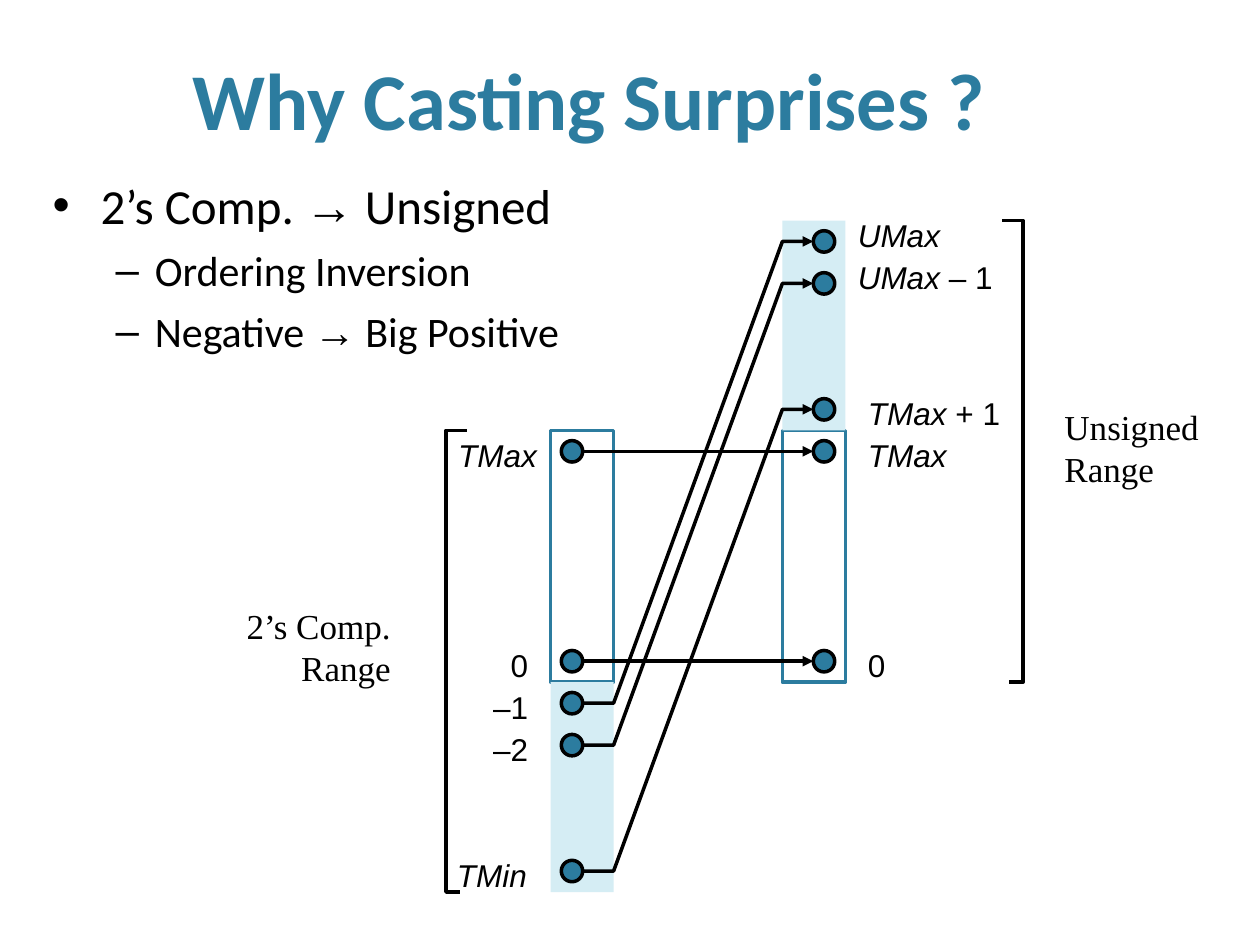
from dataclasses import dataclass

from lxml import etree
from pptx import Presentation
from pptx.dml.color import RGBColor
from pptx.enum.shapes import MSO_CONNECTOR, MSO_SHAPE
from pptx.enum.text import MSO_ANCHOR, MSO_AUTO_SIZE, PP_ALIGN
from pptx.oxml.ns import qn
from pptx.util import Inches, Pt

RECT, OVAL = MSO_SHAPE.RECTANGLE, MSO_SHAPE.OVAL
STRAIGHT = MSO_CONNECTOR.STRAIGHT
LEFT, RIGHT, CENTER = PP_ALIGN.LEFT, PP_ALIGN.RIGHT, PP_ALIGN.CENTER
TOP, NO_FIT = MSO_ANCHOR.TOP, MSO_AUTO_SIZE.NONE


@dataclass(frozen=True)
class Theme:
    blue: RGBColor = RGBColor(0x2C, 0x7C, 0x9F)
    pale: RGBColor = RGBColor(0xD5, 0xED, 0xF4)
    black: RGBColor = RGBColor(0, 0, 0)
    white: RGBColor = RGBColor(255, 255, 255)
    main: str = "Calibri"
    label: str = "Arial"
    serif: str = "Times New Roman"
    title: int = 46
    points: tuple = (28, 24)
    range: int = 20
    mark: int = 18
    line: int = 2


THEME = Theme()


def set_font(font, name, size, color=THEME.black):
    font.name, font.size = name, Pt(size)
    font.color.rgb = color


def add_text(slide, box, lines, name, size, align=LEFT):
    """Each line is a list of (text, italic) runs."""
    frame = slide.shapes.add_textbox(*map(Inches, box)).text_frame
    frame.word_wrap = True
    for i, runs in enumerate(lines):
        para = frame.paragraphs[0] if i == 0 else frame.add_paragraph()
        para.alignment = align
        set_font(para.font, name, size)
        for text, italic in runs:
            run = para.add_run()
            run.text, run.font.italic = text, italic


def add_shape(slide, kind, box, fill, line=None):
    shape = slide.shapes.add_shape(kind, *map(Inches, box))
    shape.shadow.inherit = False
    shape.fill.solid()
    shape.fill.fore_color.rgb = fill
    if line is None:
        shape.line.fill.background()
    else:
        shape.line.color.rgb, shape.line.width = line, Pt(THEME.line)


def style_line(shape, arrow):
    shape.line.color.rgb, shape.line.width = THEME.black, Pt(THEME.line)
    props = shape.element.spPr
    if arrow:
        etree.SubElement(props.find(qn("a:ln")), qn("a:tailEnd"), type="triangle")
    etree.SubElement(props, qn("a:effectLst"))


def add_path(slide, points, arrow=False):
    start, *rest = [(Inches(x), Inches(y)) for x, y in points]
    build = slide.shapes.build_freeform(*start)
    build.add_line_segments(rest, close=False)
    shape = build.convert_to_shape()
    shape.fill.background()
    style_line(shape, arrow)


def add_title(slide, box):
    title = slide.shapes.title
    title.left, title.top, title.width, title.height = map(Inches, box)
    frame = title.text_frame
    frame.text = "Why Casting Surprises ?"
    frame.word_wrap, frame.auto_size = True, NO_FIT
    frame.vertical_anchor = TOP
    para = frame.paragraphs[0]
    para.alignment = CENTER
    set_font(para.font, THEME.main, THEME.title, THEME.blue)
    para.font.bold = True


def add_points(slide, box):
    points = [
        (0, ["2’s Comp. ", "→", " Unsigned"]),
        (1, ["Ordering Inversion"]),
        (1, ["Negative ", "→", " Big Positive"]),
    ]
    bullets = [("•", 0.38, 0.38), ("–", 0.81, 0.31)]  # sign, margin, hang
    frame = slide.shapes.add_textbox(*map(Inches, box)).text_frame
    frame.word_wrap = True
    for i, (level, texts) in enumerate(points):
        para = frame.paragraphs[0] if i == 0 else frame.add_paragraph()
        para.level = level
        sign, margin, hang = bullets[level]
        props = para._p.get_or_add_pPr()
        props.set("marL", str(Inches(margin)))
        props.set("indent", str(-Inches(hang)))
        tint = etree.SubElement(props, qn("a:buClr"))
        etree.SubElement(tint, qn("a:srgbClr"), val=str(THEME.black))
        etree.SubElement(props, qn("a:buFont"), typeface=THEME.label)
        etree.SubElement(props, qn("a:buChar"), char=sign)
        para.space_before = Pt(6 if i else 0)
        set_font(para.font, THEME.main, THEME.points[level])
        for text in texts:
            run = para.add_run()
            run.text = text
            if text == "→":
                run.font.name = THEME.label


def add_ranges(slide, box):
    """Two number ranges on a grid of 16 rows, with the casts between them."""
    left, top, width, height = box
    step, bar = height / 16, 0.5
    signed, plain = left + 0.83, left + 2.67  # left edges of the bars
    begin, end = signed + 0.17, plain + 0.33  # dot centres
    size = 0.17
    rad = size / 2

    def at(row):
        return top + row * step

    # Bars: outlined shared half, shaded half that changes value
    for x, first, last, fill, line in [
        (plain, 5, 11, THEME.white, THEME.blue),
        (signed, 5, 11, THEME.white, THEME.blue),
        (signed, 11, 16, THEME.pale, None),
        (plain, 0, 5, THEME.pale, None),
    ]:
        add_shape(slide, RECT, (x, at(first), bar, at(last) - at(first)), fill, line)

    # Casts: dots joined by arrows
    for a, b in [(5.5, 5.5), (10.5, 10.5), (11.5, 0.5), (12.5, 1.5), (15.5, 4.5)]:
        for x, row in [(begin, a), (end, b)]:
            spot = (x - rad, at(row) - rad, size, size)
            add_shape(slide, OVAL, spot, THEME.blue, THEME.black)
        tail, head = (begin + rad, at(a)), (end - rad, at(b))
        if a == b:
            ends = map(Inches, tail + head)
            style_line(slide.shapes.add_connector(STRAIGHT, *ends), True)
        else:
            bends = [(signed + bar, at(a)), (plain, at(b))]
            add_path(slide, [tail, *bends, head], True)

    # Value labels: right edge on the signed side, left edge on the other
    for edge, row, runs in [
        (0.82, 5.5, [("TMax", True)]),
        (0.75, 10.5, [("0", False)]),
        (0.75, 11.5, [("–1", False)]),
        (0.75, 12.5, [("–2", False)]),
        (0.74, 15.5, [("TMin", True)]),
    ]:
        spot = (left + edge - 0.83, at(row) - 0.17, 0.83, 0.4)
        add_text(slide, spot, [runs], THEME.label, THEME.mark, RIGHT)
    for edge, row, rise, runs in [
        (3.17, 0.5, 0.25, [("UMax", True)]),
        (3.17, 1.5, 0.25, [("UMax", True), (" – 1", False)]),
        (3.25, 4.5, 0.17, [("TMax", True), (" + 1", False)]),
        (3.25, 5.5, 0.17, [("TMax", True)]),
        (3.25, 10.5, 0.17, [("0", False)]),
    ]:
        spot = (left + edge, at(row) - rise, 1.4, 0.4)
        add_text(slide, spot, [runs], THEME.label, THEME.mark)

    # Brackets and range names
    for x, side, first, last, name, edge, drop, align in [
        (left, 1, 5, 16, "2’s Comp.", left - 1.84, 3, RIGHT),
        (left + width, -1, 0, 11, "Unsigned", left + width + 0.23, 1.42, LEFT),
    ]:
        add_path(slide, [(x + side * 0.11, at(last)), (x, at(last)),
                         (x, at(first)), (x + side * 0.17, at(first))])
        lines = [[(name, False)], [("Range", False)]]
        spot = (edge, top + drop, 1.5, 0.77)
        add_text(slide, spot, lines, THEME.serif, THEME.range, align)


def main():
    deck = Presentation()
    deck.slide_width, deck.slide_height = Inches(10), Inches(7.5)
    slide = deck.slides.add_slide(deck.slide_layouts[5])
    add_ranges(slide, (3.54, 1.75, 4.58, 5.33))
    add_title(slide, (0.33, 0.35, 8.69, 0.63))
    add_points(slide, (0.32, 1.34, 4.55, 1.88))
    deck.save("out.pptx")


if __name__ == "__main__":
    main()
